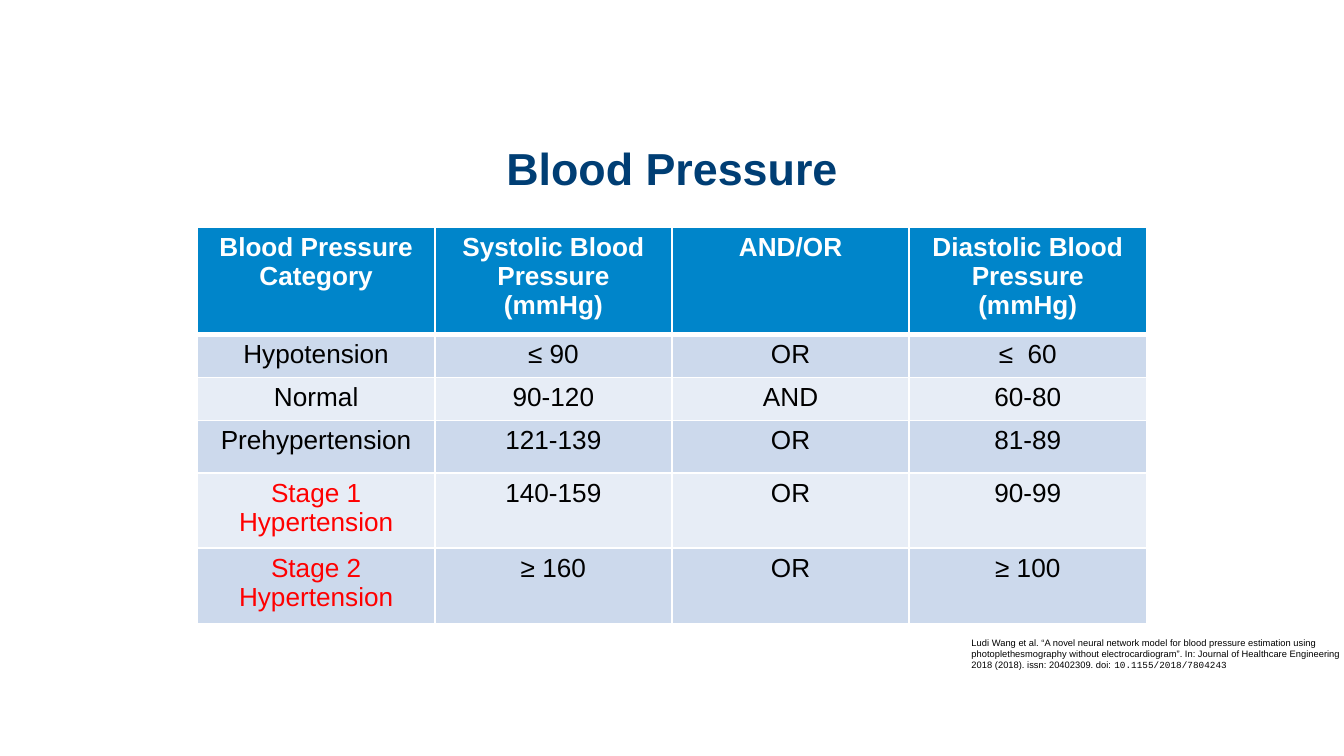
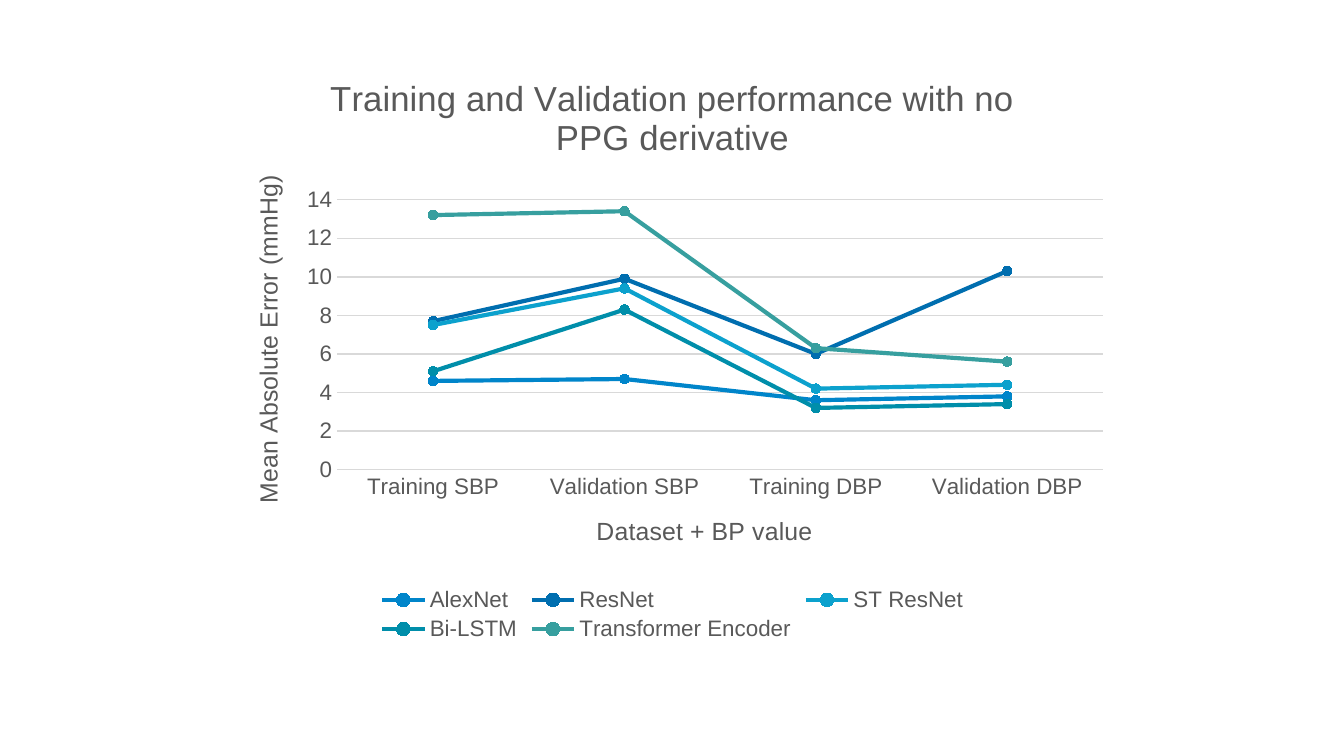
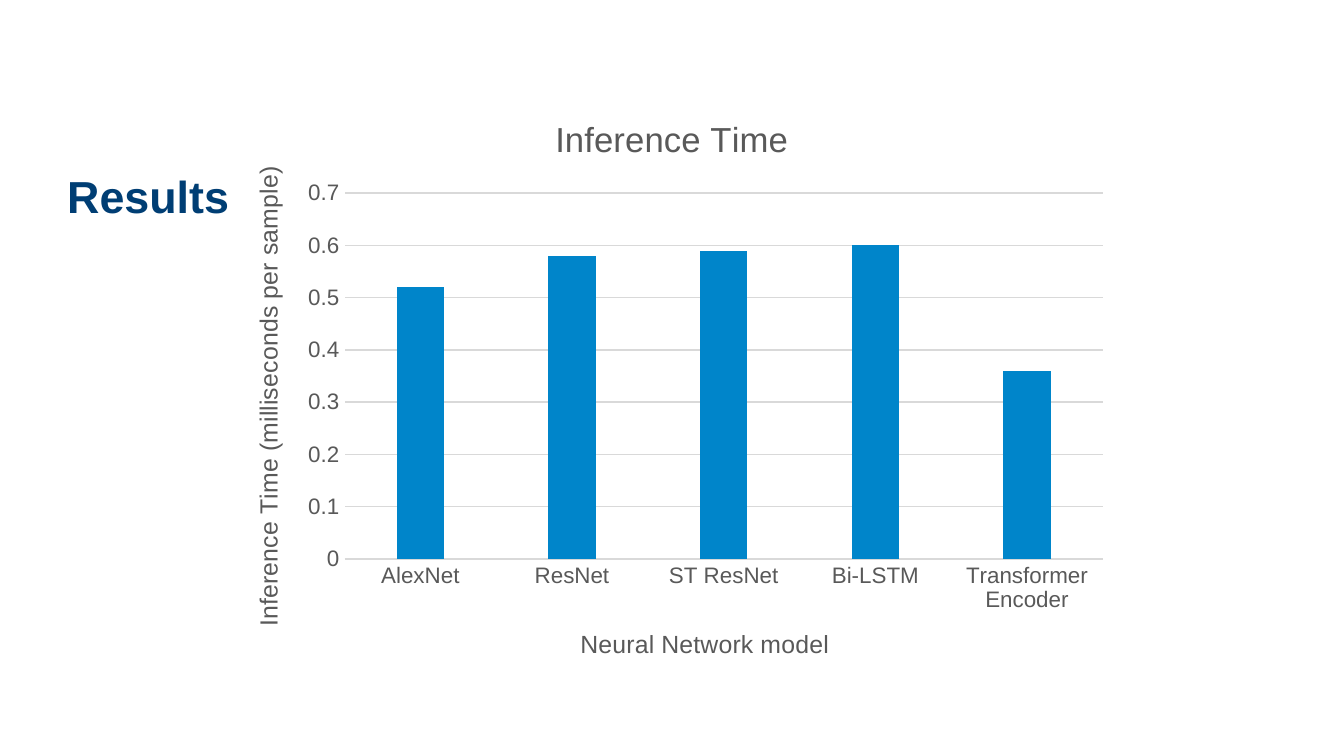
from pptx import Presentation
from pptx.chart.data import CategoryChartData
from pptx.dml.color import RGBColor
from pptx.enum.chart import (XL_CHART_TYPE, XL_LEGEND_POSITION,
                             XL_MARKER_STYLE, XL_TICK_MARK)
from pptx.enum.text import MSO_ANCHOR, PP_ALIGN
from pptx.oxml import parse_xml
from pptx.oxml.ns import nsdecls, qn
from pptx.util import Inches, Pt

LEFT, CENTER = PP_ALIGN.LEFT, PP_ALIGN.CENTER
MIDDLE, TOP = MSO_ANCHOR.MIDDLE, MSO_ANCHOR.TOP
LINE, COLUMN = XL_CHART_TYPE.LINE_MARKERS, XL_CHART_TYPE.COLUMN_CLUSTERED
BOTTOM = XL_LEGEND_POSITION.BOTTOM
CIRCLE = XL_MARKER_STYLE.CIRCLE
NO_TICK = XL_TICK_MARK.NONE

WHITE = RGBColor(0xFF, 0xFF, 0xFF)
BLACK = RGBColor(0x00, 0x00, 0x00)
RED = RGBColor(0xFF, 0x00, 0x00)
NAVY = RGBColor(0x00, 0x3E, 0x74)
BLUE = RGBColor(0x00, 0x85, 0xCA)
DEEP_BLUE = RGBColor(0x00, 0x6E, 0xAF)
CYAN = RGBColor(0x0C, 0xA1, 0xCD)
TEAL = RGBColor(0x00, 0x8E, 0xAA)
GREEN = RGBColor(0x37, 0x9F, 0x9F)
GRAY = RGBColor(0x59, 0x59, 0x59)
GRID = RGBColor(0xD9, 0xD9, 0xD9)
BANDS = (RGBColor(0xE7, 0xED, 0xF6), RGBColor(0xCC, 0xD9, 0xEC))
SERIES_COLORS = (BLUE, DEEP_BLUE, CYAN, TEAL, GREEN)

SANS, MONO = "Arial", "Courier New"
MODELS = ("AlexNet", "ResNet", "ST ResNet", "Bi-LSTM", "Transformer Encoder")


def style_font(font, **values):
    """Set font attributes; color is applied to the solid fill."""
    font.name = SANS
    for key, value in values.items():
        if key == "color":
            font.color.rgb = value
        else:
            setattr(font, key, value)


def set_layout(parent, index, x, y, w=None, h=None):
    """Place a chart part by percentages of the chart area."""
    for old in parent.findall(qn("c:layout")):
        parent.remove(old)
    target = '<c:layoutTarget val="inner"/>' if w else ""
    modes = '<c:xMode val="edge"/><c:yMode val="edge"/>'
    sizes = "".join(f'<c:{k} val="{v / 100:.3f}"/>'
                    for k, v in zip("xywh", (x, y, w, h)) if v is not None)
    parent.insert(index, parse_xml(
        f'<c:layout {nsdecls("c")}><c:manualLayout>{target}{modes}{sizes}'
        '</c:manualLayout></c:layout>'))


class Deck:
    def __init__(self):
        self.prs = Presentation()
        self.prs.slide_width = Inches(10)
        self.prs.slide_height = Inches(10 * 9 / 16)
        self.s = None

    def slide(self):
        self.s = self.prs.slides.add_slide(self.prs.slide_layouts[6])

    def text(self, box, lines, align=LEFT, anchor=TOP, margins=None, **font):
        """Add one paragraph; each line is a list of (text, font name)."""
        tf = self.s.shapes.add_textbox(*map(Inches, box)).text_frame
        tf.word_wrap = True
        tf.vertical_anchor = anchor
        for side, value in (margins or {}).items():
            setattr(tf, f"margin_{side}", Inches(value))
        p = tf.paragraphs[0]
        p.alignment = align
        for i, line in enumerate(lines):
            if i:
                p.add_line_break()
            for words, name in line:
                r = p.add_run()
                r.text = words
                style_font(r.font, **{**font, "name": name})

    def title(self, words, top, align):
        self.text((0.5, top, 9, 0.42), [[(words, SANS)]], align, MIDDLE,
                  dict(left=0, top=0.05, right=0, bottom=0),
                  size=Pt(24), bold=True, color=NAVY)

    def borders(self, cell, bottom):
        tcPr = cell._tc.get_or_add_tcPr()
        for i, (side, width) in enumerate(
                (("L", 1), ("R", 1), ("T", 1), ("B", bottom))):
            tcPr.insert(i, parse_xml(
                f'<a:ln{side} {nsdecls("a")} w="{Pt(width)}"><a:solidFill>'
                f'<a:srgbClr val="{WHITE}"/></a:solidFill></a:ln{side}>'))

    def table(self, box, rows, heights, red_rows):
        table = self.s.shapes.add_table(
            len(rows), len(rows[0]), *map(Inches, box)).table
        for column in table.columns:
            column.width = Inches(box[2] / len(rows[0]))
        for i, (row, height) in enumerate(zip(rows, heights)):
            table.rows[i].height = Inches(height)
            head = i == 0
            for j, words in enumerate(row):
                cell = table.cell(i, j)
                cell.fill.solid()
                cell.fill.fore_color.rgb = BLUE if head else BANDS[i % 2]
                cell.margin_left = cell.margin_right = Inches(0.08)
                cell.margin_top = cell.margin_bottom = Inches(0.04)
                self.borders(cell, 3 if head else 1)
                p = cell.text_frame.paragraphs[0]
                p.alignment = CENTER
                r = p.add_run()
                r.text = words
                warn = i in red_rows and j == 0
                style_font(r.font, size=Pt(14), bold=head,
                           color=WHITE if head else RED if warn else BLACK)

    def chart_title(self, holder, words, size, at, turned=False):
        tf = holder.text_frame
        tf.text = words
        style_font(tf.paragraphs[0].runs[0].font,
                   size=Pt(size), bold=False, color=GRAY)
        if turned:
            tf._txBody.bodyPr.set("rot", "-5400000")
            tf._txBody.bodyPr.set("vert", "horz")
        set_layout(holder._element, 1, *at)

    def chart(self, kind, top, cats, series, titles, places, scale):
        """titles and places run: chart, category axis, value axis (, plot)."""
        data = CategoryChartData()
        data.categories = cats
        for name, values in series:
            data.add_series(name, values)
        box = (1.67, top, 6.67, 4.44)
        chart = self.s.shapes.add_chart(kind, *map(Inches, box), data).chart
        style_font(chart.font, size=Pt(10), color=BLACK)
        chart.has_legend = False

        # Axes
        cat, val = chart.category_axis, chart.value_axis
        for axis in (cat, val):
            axis.major_tick_mark = axis.minor_tick_mark = NO_TICK
            style_font(axis.tick_labels.font, size=Pt(12), color=GRAY)
        val.minimum_scale, val.maximum_scale, val.major_unit = scale
        val.tick_labels.number_format = "General"
        val.tick_labels.number_format_is_linked = False
        val.has_major_gridlines = True
        val.format.line.fill.background()
        for line in (cat.format.line, val.major_gridlines.format.line):
            line.color.rgb, line.width = GRID, Pt(0.75)

        # Titles and plot area
        chart.has_title = True
        holders = (chart.chart_title, cat.axis_title, val.axis_title)
        for holder, words, size, at in zip(
                holders, titles, (18.6, 13.3, 13.3), places):
            self.chart_title(holder, words, size, at, holder is holders[2])
        set_layout(chart._chartSpace.chart.plotArea, 0, *places[3])

        # Series
        plot = chart.plots[0]
        plot.vary_by_categories = False
        for ser, color in zip(plot.series, SERIES_COLORS):
            if kind == LINE:
                ser.smooth = False
                ser.format.line.color.rgb = color
                ser.format.line.width = Pt(2.25)
                ser.marker.style, ser.marker.size = CIRCLE, 5
                ser.marker.format.line.color.rgb = color
                fill = ser.marker.format.fill
            else:
                fill = ser.format.fill
            fill.solid()
            fill.fore_color.rgb = color
        return chart


def main():
    deck = Deck()

    # Blood pressure categories
    deck.slide()
    deck.table(
        (1.47, 1.69, 7.06, 2.95),
        [("Blood Pressure Category", "Systolic Blood Pressure (mmHg)",
          "AND/OR", "Diastolic Blood Pressure (mmHg)"),
         ("Hypotension", "≤ 90", "OR", "≤  60"),
         ("Normal", "90-120", "AND", "60-80"),
         ("Prehypertension", "121-139", "OR", "81-89"),
         ("Stage 1 Hypertension", "140-159", "OR", "90-99"),
         ("Stage 2 Hypertension", "≥ 160", "OR", "≥ 100")],
        (0.8, 0.32, 0.32, 0.39, 0.56, 0.56), red_rows=(4, 5))
    deck.title("Blood Pressure", 1.01, CENTER)
    deck.text(
        (7.13, 4.69, 4.28, 0.44),
        [[("Ludi Wang et al. “A novel neural network model for blood pressure "
           "estimation using", SANS)],
         [("photoplethesmography without electrocardiogram”. In: Journal of "
           "Healthcare Engineering", SANS)],
         [("2018 (2018). issn: 20402309. doi: ", SANS),
          ("10.1155/2018/7804243", MONO)]],
        size=Pt(5), color=BLACK)

    # Training and validation error
    deck.slide()
    errors = ((4.6, 4.7, 3.6, 3.8), (7.7, 9.9, 6, 10.3), (7.5, 9.4, 4.2, 4.4),
              (5.1, 8.3, 3.2, 3.4), (13.2, 13.4, 6.3, 5.6))
    chart = deck.chart(
        LINE, 0.37,
        ("Training SBP", "Validation SBP", "Training DBP", "Validation DBP"),
        list(zip(MODELS, errors)),
        ("Training and Validation performance with no PPG derivative",
         "Dataset + BP value", "Mean Absolute Error (mmHg)"),
        ((11.1, 3.2), (41, 77.2), (2.6, 20.2), (12.6, 21.9, 85.4, 48.5)),
        scale=(0, 15, 2))
    chart.has_legend = True
    chart.legend.position = BOTTOM
    chart.legend.include_in_layout = False
    style_font(chart.legend.font, size=Pt(12), color=GRAY)

    # Inference time
    deck.slide()
    deck.title("Results", 1.22, LEFT)
    chart = deck.chart(
        COLUMN, 0.67, MODELS,
        [("Series 1", (0.52, 0.58, 0.59, 0.6, 0.36))],
        ("Inference Time", "Neural Network model",
         "Inference Time (milliseconds per sample)"),
        ((36.2, 3.3), (39.2, 89.5), (2.6, 12), (13.4, 17.3, 84.6, 61.3)),
        scale=(0, 0.7, 0.1))
    chart.plots[0].gap_width, chart.plots[0].overlap = 219, -27

    deck.prs.save("out.pptx")


if __name__ == "__main__":
    main()
